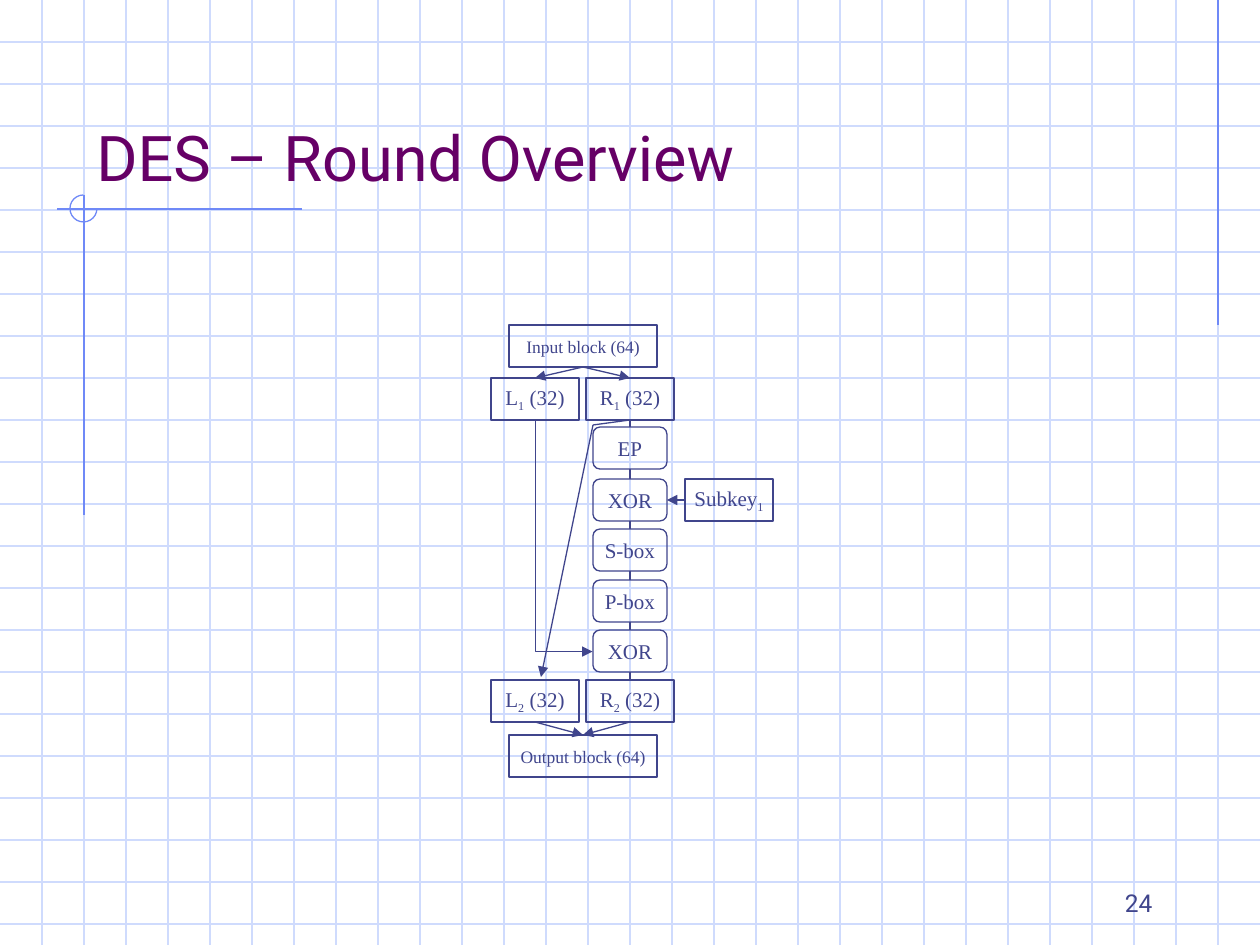
from dataclasses import dataclass
from typing import Any, Optional

from lxml.etree import SubElement
from pptx import Presentation
from pptx.dml.color import RGBColor
from pptx.enum.shapes import MSO_CONNECTOR, MSO_SHAPE
from pptx.enum.text import MSO_ANCHOR, PP_ALIGN
from pptx.oxml.ns import qn
from pptx.shapes.autoshape import Shape
from pptx.shapes.connector import Connector
from pptx.util import Emu, Pt

EMU_PER_PX = 914400 / 126
WIDTH, HEIGHT, GRID_STEP = 1260, 945, 42
BOX_HEIGHT, HALF_WIDTH, BLOCK_WIDTH, STEP_WIDTH = 42, 88, 148, 74
TOP, LEFT, BOTTOM, RIGHT = range(4)
COLORS = {"grid": "CFDBFD", "guide": "6F89F7", "title": "660066", "ink": "40458C"}
FONTS = {
    "title": {"name": "Roboto", "size": Pt(36)},
    "number": {"name": "Roboto", "size": Pt(14)},
    "block": {"name": "Times New Roman", "size": Pt(10)},
    "step": {"name": "Times New Roman", "size": Pt(12)},
}
LABEL_FRAME = {
    "margin_left": 0, "margin_right": 0, "margin_top": 0, "margin_bottom": 0,
    "vertical_anchor": MSO_ANCHOR.MIDDLE, "word_wrap": False,
}
HEADING_FRAME = {"vertical_anchor": MSO_ANCHOR.BOTTOM, "word_wrap": True}


@dataclass(frozen=True)
class Box:
    key: str
    x: int
    y: int
    width: int
    stem: str
    index: str = ""
    tail: str = ""
    font: str = "step"
    rounded: bool = False


@dataclass(frozen=True)
class Link:
    source: str
    source_side: int
    target: str
    target_side: int
    arrow: bool = True


STEPS = [("EP", "EP", 427), ("KeyXOR", "XOR", 479), ("S", "S-box", 529),
         ("P", "P-box", 580), ("LeftXOR", "XOR", 630)]
BOXES = [
    Box("Input", 509, 325, BLOCK_WIDTH, "Input block (64)", font="block"),
    *(Box(side + index, x, y, HALF_WIDTH, side, index, " (32)")
      for index, y in (("1", 378), ("2", 680))
      for side, x in (("L", 491), ("R", 586))),
    *(Box(key, 593, y, STEP_WIDTH, label, rounded=True) for key, label, y in STEPS),
    Box("Subkey", 685, 479, HALF_WIDTH, "Subkey", "1"),
    Box("Output", 509, 735, BLOCK_WIDTH, "Output block (64)", font="block"),
]
CHAIN = ["R1", *(key for key, _, _ in STEPS), "R2"]
LINKS = [
    Link("Input", BOTTOM, "L1", TOP),
    Link("Input", BOTTOM, "R1", TOP),
    *(Link(upper, BOTTOM, lower, TOP, False) for upper, lower in zip(CHAIN, CHAIN[1:])),
    Link("Subkey", LEFT, "KeyXOR", RIGHT),
    Link("R2", BOTTOM, "Output", TOP),
    Link("L2", BOTTOM, "Output", TOP),
]
GUIDES = [(1218, 0, 1218, 325), (302, 209, 57, 209), (84, 195, 84, 515)]


def px(length: int) -> Emu:
    """Turn pixels into EMU."""
    return Emu(round(length * EMU_PER_PX))


def apply_format(target: Any, values: dict[str, Any]) -> None:
    """Set every attribute named in the values."""
    for attribute, value in values.items():
        setattr(target, attribute, value)


def outline(part: Any, color: str) -> None:
    """Give a shape or connector a thin line."""
    part.line.color.rgb = RGBColor.from_string(COLORS[color])
    part.line.width = Pt(0.75)


def add_line(shapes: Any, start: tuple[int, int], end: tuple[int, int], color: str = "ink",
             arrow: bool = False, kind: MSO_CONNECTOR = MSO_CONNECTOR.STRAIGHT) -> Connector:
    """Draw a line, with an arrowhead at its end if wanted."""
    line = shapes.add_connector(kind, *map(px, (*start, *end)))
    outline(line, color)
    if arrow:
        SubElement(line._element.spPr.find(qn("a:ln")), qn("a:tailEnd"), type="triangle")
    SubElement(line._element.spPr, qn("a:effectLst"))
    return line


def add_preset(shapes: Any, preset: MSO_SHAPE, bounds: tuple[int, int, int, int],
               color: str) -> Shape:
    """Draw an unfilled preset shape."""
    preset_shape = shapes.add_shape(preset, *map(px, bounds))
    preset_shape.shadow.inherit = False
    preset_shape.fill.background()
    outline(preset_shape, color)
    return preset_shape


def add_run(paragraph: Any, text: str, font: str, color: str, subscript: bool = False) -> None:
    """Append formatted text to a paragraph."""
    run = paragraph.add_run()
    run.text = text
    apply_format(run.font, FONTS[font])
    run.font.color.rgb = RGBColor.from_string(COLORS[color])
    if subscript:
        run.font._element.set("baseline", "-25000")


def add_box(shapes: Any, box: Box) -> Shape:
    """Draw one labelled box of the round."""
    preset = MSO_SHAPE.ROUNDED_RECTANGLE if box.rounded else MSO_SHAPE.RECTANGLE
    cell = add_preset(shapes, preset, (box.x, box.y, box.width, BOX_HEIGHT), "ink")
    apply_format(cell.text_frame, LABEL_FRAME)
    label = cell.text_frame.paragraphs[0]
    label.alignment = PP_ALIGN.CENTER
    for text, subscript in ((box.stem, False), (box.index, True), (box.tail, False)):
        if text:
            add_run(label, text, box.font, "ink", subscript)
    return cell


def add_link(shapes: Any, cells: dict[str, Shape], link: Link) -> None:
    """Join two boxes at the middles of their sides."""
    line = add_line(shapes, (0, 0), (0, 0), arrow=link.arrow)
    line.begin_connect(cells[link.source], link.source_side)
    line.end_connect(cells[link.target], link.target_side)


def add_heading(shapes: Any, bounds: tuple[int, int, int, int], text: str, font: str,
                color: str, alignment: Optional[PP_ALIGN] = None) -> None:
    """Place bottom-anchored text."""
    heading = shapes.add_textbox(*map(px, bounds)).text_frame
    apply_format(heading, HEADING_FRAME)
    heading.paragraphs[0].alignment = alignment
    add_run(heading.paragraphs[0], text, font, color)


def add_backdrop(shapes: Any) -> None:
    """Draw the squared paper and its guide marks."""
    for y in range(GRID_STEP, HEIGHT, GRID_STEP):
        add_line(shapes, (0, y), (WIDTH, y), "grid")
    for x in range(GRID_STEP, WIDTH, GRID_STEP):
        add_line(shapes, (x, 0), (x, HEIGHT), "grid")
    for x1, y1, x2, y2 in GUIDES:
        add_line(shapes, (x1, y1), (x2, y2), "guide")
    ring = add_preset(shapes, MSO_SHAPE.ARC, (70, 195, 27, 27), "guide")
    ring.adjustments[0] = 0
    ring.adjustments[1] = 162


def add_round(shapes: Any) -> None:
    """Draw the boxes of the round and the paths between them."""
    cells = {box.key: add_box(shapes, box) for box in BOXES}
    for link in LINKS:
        add_link(shapes, cells, link)
    left_path = add_line(shapes, (680, 507), (448, 564), arrow=True, kind=MSO_CONNECTOR.ELBOW)
    left_path._element.spPr.find(qn("a:prstGeom")).set("prst", "bentConnector2")
    left_path._element.spPr.find(qn("a:xfrm")).set("rot", "16200000")
    add_line(shapes, (593, 425), (541, 677), arrow=True)
    bypass = add_line(shapes, (630, 420), (593, 425))
    bypass.begin_connect(cells["R1"], BOTTOM)


def main() -> None:
    """Build and save the slide."""
    deck = Presentation()
    apply_format(deck, {"slide_width": px(WIDTH), "slide_height": px(HEIGHT)})
    shapes = deck.slides.add_slide(deck.slide_layouts[6]).shapes
    add_backdrop(shapes)
    add_heading(shapes, (84, 42, 1071, 158), "DES – Round Overview", "title", "title")
    add_round(shapes)
    add_heading(shapes, (903, 861, 262, 63), "24", "number", "ink", PP_ALIGN.RIGHT)
    deck.save("out.pptx")


if __name__ == "__main__":
    main()
